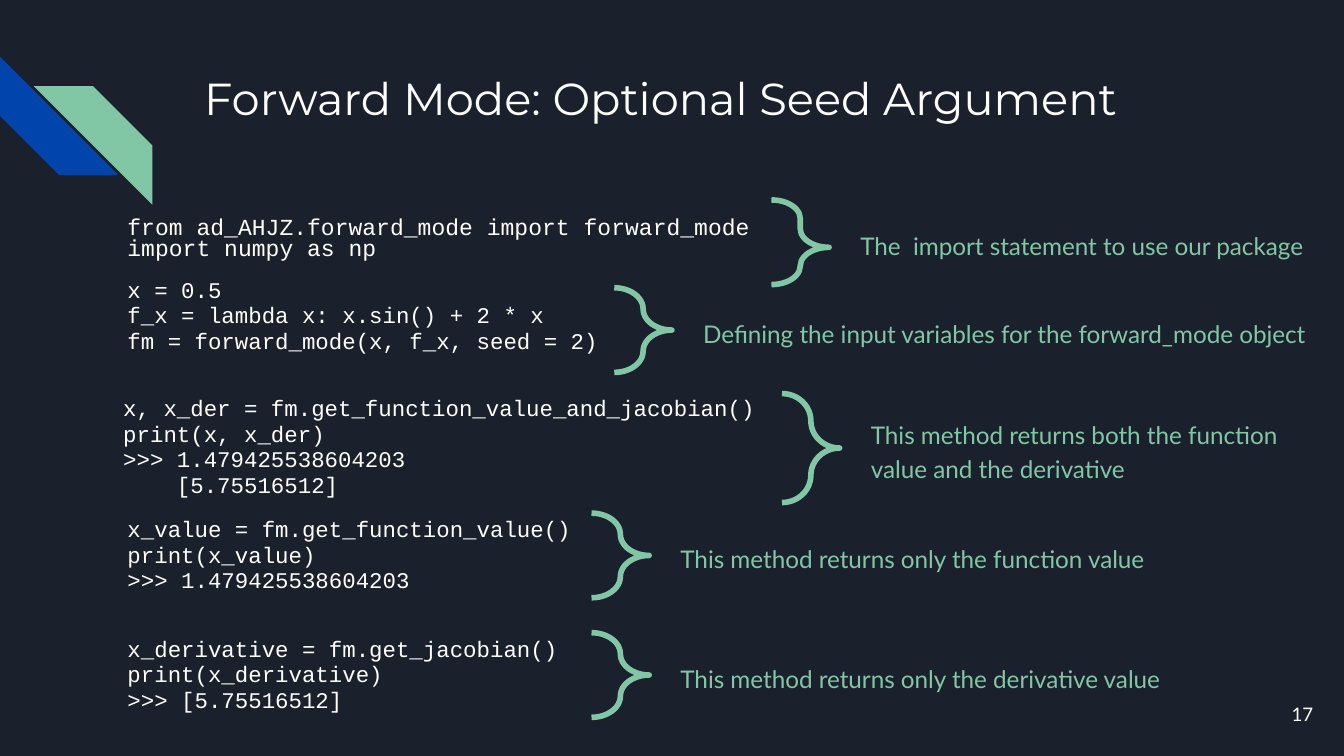
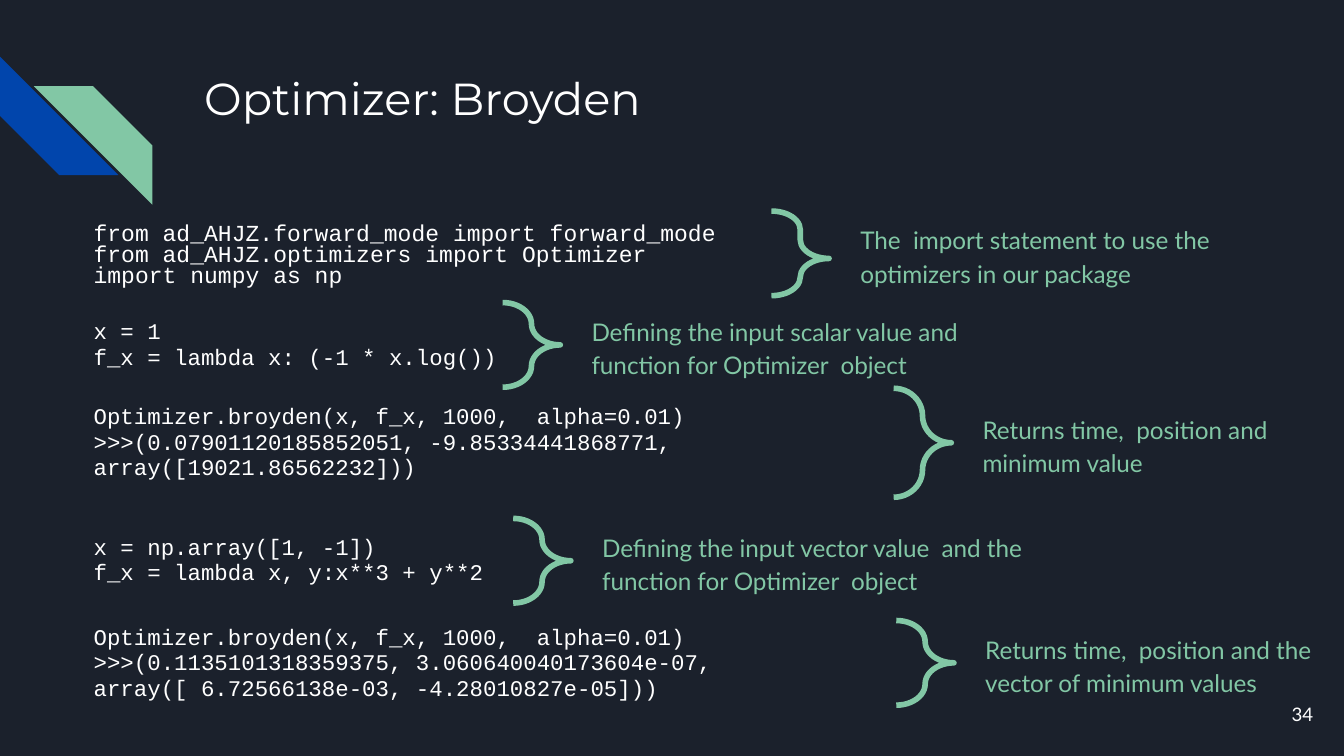
from dataclasses import dataclass

from pptx import Presentation
from pptx.dml.color import RGBColor
from pptx.enum.shapes import MSO_SHAPE as Preset
from pptx.enum.text import MSO_ANCHOR as Anchor
from pptx.enum.text import MSO_AUTO_SIZE as AutoSize
from pptx.enum.text import PP_ALIGN as Align
from pptx.slide import Slide
from pptx.util import Cm, Pt

NAVY = RGBColor(0x1B, 0x21, 0x2C)
BLUE = RGBColor(0x01, 0x45, 0xAC)
GREEN = RGBColor(0x82, 0xC7, 0xA5)
WHITE = RGBColor(0xFF, 0xFF, 0xFF)

# Lengths in centimetres
SLIDE_WIDTH, SLIDE_HEIGHT = 25.4, 14.29
INSET = 0.25
STRIPE_SIZE = 2.24
BRACE_WIDTH, BRACE_HEIGHT, TALL_BRACE = 1.09, 1.6, 2.06
NOTE_OFFSET = 1.43  # from the left of a brace to the left of its note
IMPORT_HEIGHT = 1.52
CODE_LINE, NOTE_LINE = 0.49, 0.64


@dataclass(frozen=True)
class Style:
    font: str
    size: float
    color: RGBColor
    spacing: float = 1.0
    align: Align = Align.LEFT
    anchor: Anchor = Anchor.TOP
    grows: bool = False


TITLE = Style("Montserrat", 24, WHITE)
PAGE = Style("Lato", 10, WHITE, align=Align.RIGHT, anchor=Anchor.MIDDLE)
IMPORTS = Style("Courier New", 12.3, WHITE, spacing=0.75)
CODE = Style("Courier New", 12, WHITE, spacing=0.95, grows=True)
NOTE = Style("Lato", 13, GREEN, spacing=1.15, grows=True)


@dataclass(frozen=True)
class Box:
    left: float
    top: float
    width: float
    height: float

    def lengths(self) -> tuple[Cm, Cm, Cm, Cm]:
        return Cm(self.left), Cm(self.top), Cm(self.width), Cm(self.height)


@dataclass(frozen=True)
class Step:
    """A code block, with a brace and a note that explains it."""
    code: tuple[str, ...]
    note: tuple[str, ...]
    code_left: float
    code_top: float
    code_width: float
    brace_left: float
    brace_top: float
    note_width: float
    code_rows: int = 3
    note_rows: int = 1
    brace_height: float = BRACE_HEIGHT
    imports: bool = False


@dataclass(frozen=True)
class Page:
    title: str
    number: str
    steps: tuple[Step, ...]


FORWARD_MODE = Page("Forward Mode: Optional Seed Argument", "17", (
    Step(("from ad_AHJZ.forward_mode import forward_mode", "import numpy as np"),
         ("The  import statement to use our package",),
         2.16, 3.89, 20.96, 14.58, 3.78, 11.07, imports=True),
    Step(("x = 0.5", "f_x = lambda x: x.sin() + 2 * x",
          "fm = forward_mode(x, f_x, seed = 2)"),
         ("Defining the input variables for the forward_mode object",),
         2.16, 5.0, 9.42, 11.61, 5.44, 12.12),
    Step(("x, x_der = fm.get_function_value_and_jacobian()", "print(x, x_der)",
          ">>> 1.479425538604203", "    [5.75516512]"),
         ("This method returns both the function", "value and the derivative"),
         2.08, 7.24, 12.47, 14.78, 7.44, 12.12,
         code_rows=4, note_rows=2, brace_height=TALL_BRACE),
    Step(("x_value = fm.get_function_value()", "print(x_value)",
          ">>> 1.479425538604203"),
         ("This method returns only the function value",),
         2.16, 9.53, 9.04, 11.18, 9.7, 12.12),
    Step(("x_derivative = fm.get_jacobian()", "print(x_derivative)",
          ">>> [5.75516512]"),
         ("This method returns only the derivative value",),
         2.16, 11.79, 9.19, 11.18, 11.96, 12.12),
))

BROYDEN_CALL = "Optimizer.broyden(x, f_x, 1000,  alpha=0.01)"
BROYDEN = Page("Optimizer: Broyden", "34", (
    Step(("from ad_AHJZ.forward_mode import forward_mode",
          "from ad_AHJZ.optimizers import Optimizer", "import numpy as np"),
         ("The  import statement to use the", "optimizers in our package"),
         1.52, 4.01, 13.03, 14.58, 3.99, 7.77, note_rows=2, imports=True),
    Step(("x = 1", "f_x = lambda x: (-1 * x.log())"),
         ("Defining the input scalar value and function for Optimizer  object",),
         1.52, 5.79, 8.18, 9.5, 5.72, 8.86, code_rows=2, note_rows=2),
    Step((BROYDEN_CALL,
          ">>>(0.07901120185852051, -9.85334441868771, array([19021.86562232]))"),
         ("Returns time,  position and minimum value",),
         1.52, 7.39, 15.37, 16.89, 7.34, 7.54,
         note_rows=2, brace_height=TALL_BRACE),
    Step(("x = np.array([1, -1])", "f_x = lambda x, y:x**3 + y**2"),
         ("Defining the input vector value  and the function for Optimizer  object",),
         1.52, 9.86, 7.95, 9.7, 9.8, 9.22, code_rows=2, note_rows=2),
    Step((BROYDEN_CALL,
          ">>>(0.1135101318359375, 3.060640040173604e-07, "
          "array([ 6.72566138e-03, -4.28010827e-05]))"),
         ("Returns time,  position and the vector of minimum values",),
         1.52, 11.56, 15.75, 16.94, 11.73, 6.73, note_rows=2),
))


def add_text(slide: Slide, box: Box, lines: tuple[str, ...], style: Style) -> None:
    frame = slide.shapes.add_textbox(*box.lengths()).text_frame
    frame.word_wrap = True
    frame.auto_size = AutoSize.SHAPE_TO_FIT_TEXT if style.grows else AutoSize.NONE
    frame.vertical_anchor = style.anchor
    frame.margin_left = frame.margin_right = Cm(INSET)
    frame.margin_top = frame.margin_bottom = Cm(INSET)
    for index, line in enumerate(lines):
        paragraph = frame.add_paragraph() if index else frame.paragraphs[0]
        paragraph.alignment = style.align
        paragraph.line_spacing = style.spacing
        run = paragraph.add_run()
        run.text = line
        run.font.name = style.font
        run.font.size = Pt(style.size)
        run.font.color.rgb = style.color


def add_stripe(slide: Slide, left: float, top: float, turn: int,
               color: RGBColor) -> None:
    box = Box(left, top, STRIPE_SIZE, STRIPE_SIZE)
    stripe = slide.shapes.add_shape(Preset.DIAGONAL_STRIPE, *box.lengths())
    stripe.rotation = turn
    stripe.shadow.inherit = False
    stripe.fill.solid()
    stripe.fill.fore_color.rgb = color
    stripe.line.fill.background()


def add_brace(slide: Slide, box: Box, middle: float) -> None:
    brace = slide.shapes.add_shape(Preset.RIGHT_BRACE, *box.lengths())
    brace.adjustments[0] = 0.5
    brace.adjustments[1] = middle
    brace.shadow.inherit = False
    brace.fill.background()
    brace.line.color.rgb = GREEN
    brace.line.width = Pt(3)


def add_step(slide: Slide, step: Step) -> None:
    code_height = (IMPORT_HEIGHT if step.imports
                   else 2 * INSET + step.code_rows * CODE_LINE)
    add_text(slide, Box(step.code_left, step.code_top, step.code_width, code_height),
             step.code, IMPORTS if step.imports else CODE)
    add_brace(slide, Box(step.brace_left, step.brace_top, BRACE_WIDTH,
                         step.brace_height), 0.56 if step.imports else 0.5)
    # The note is centred on its brace
    note_height = 0.43 + step.note_rows * NOTE_LINE
    note_top = step.brace_top + (step.brace_height - note_height) / 2
    add_text(slide, Box(step.brace_left + NOTE_OFFSET, note_top, step.note_width,
                        note_height), step.note, NOTE)


def add_page(deck: Presentation, page: Page) -> None:
    slide = deck.slides.add_slide(deck.slide_layouts[6])
    slide.background.fill.solid()
    slide.background.fill.fore_color.rgb = NAVY
    # Corner stripes, title and page number
    add_stripe(slide, 0, 1.07, 270, BLUE)
    add_stripe(slide, 0.64, 1.63, 90, GREEN)
    add_text(slide, Box(3.61, 1.09, 19.56, 2.54), (page.title,), TITLE)
    add_text(slide, Box(23.55, 12.95, 1.52, 1.09), (page.number,), PAGE)
    # Explained code
    for step in page.steps:
        add_step(slide, step)


def main() -> None:
    deck = Presentation()
    deck.slide_width = Cm(SLIDE_WIDTH)
    deck.slide_height = Cm(SLIDE_HEIGHT)
    for page in (FORWARD_MODE, BROYDEN):
        add_page(deck, page)
    deck.save("out.pptx")


if __name__ == "__main__":
    main()
